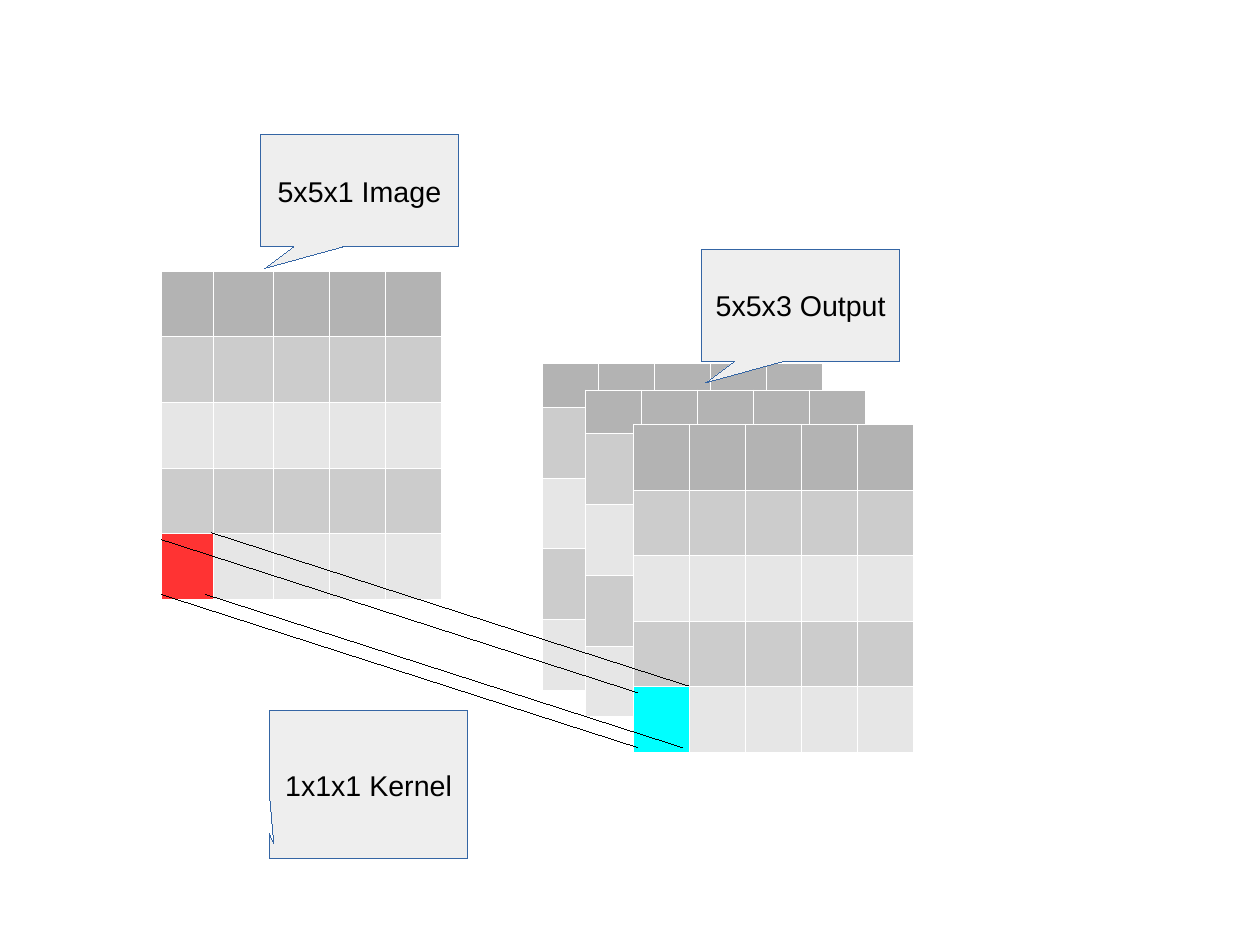
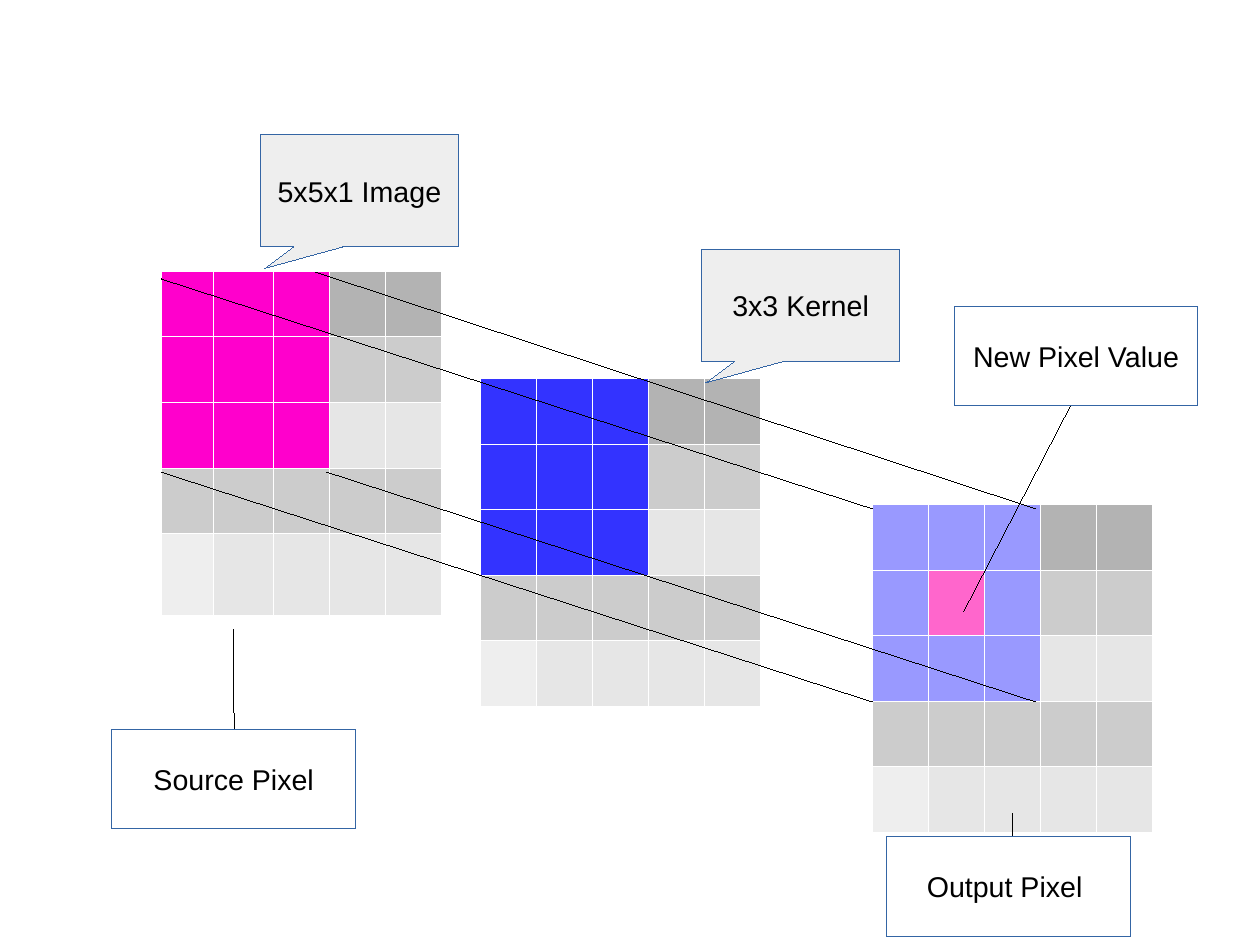
from lxml import etree
from pptx import Presentation
from pptx.dml.color import RGBColor
from pptx.enum.shapes import MSO_CONNECTOR as Connector, MSO_SHAPE as Shape
from pptx.enum.text import MSO_ANCHOR as Anchor, PP_ALIGN as Align
from pptx.oxml.ns import qn
from pptx.util import Inches, Pt

COLORS = {
    "dark": "B3B3B3", "mid": "CCCCCC", "light": "E6E6E6", "pale": "EEEEEE",
    "white": "FFFFFF", "black": "000000", "outline": "3465A4",
    "red": "FF3333", "cyan": "00FFFF", "magenta": "FF00CC",
    "blue": "3333FF", "lavender": "9999FF", "pink": "FF66CC",
}
FONT, TEXT_SIZE = "Arial", 18
HAIRLINE = Pt(0.01)
ROW_TONES = ["dark", "mid", "light", "mid", "light"]

# Slide of 28 by 21 centimetres
CM_PER_INCH = 2.54
SLIDE_WIDTH, SLIDE_HEIGHT = Inches(28 / CM_PER_INCH), Inches(21 / CM_PER_INCH)

# Grid geometry: five columns and five rows
COUNT = 5
ROW, COLUMN = 2.87 / COUNT, 2.45 / COUNT
EVEN_ROWS, EVEN_COLUMNS = [ROW] * COUNT, [COLUMN] * COUNT
STACKED_ROWS = [0.38] + [0.62] * 4
IMAGE_COLUMNS = [0.45, 0.53] + [COLUMN] * 3
TALL_END_ROWS = [ROW] * 4 + [0.72]


def block(color, size=3):
    """Colour the top left square of a grid, with a pale bottom left cell."""
    cells = {(r, c): color for r in range(size) for c in range(size)}
    return {**cells, (4, 0): "pale"}


# Content: grids (left, top, rows, columns, coloured cells), lines, callouts, labels
KERNEL_SHIFT = (4.17, 1.34)
KERNEL_CORNERS = [(1.41, 5.2), (1.85, 4.66), (1.41, 4.72), (1.8, 5.2)]
IMAGE_CALLOUT = ("5x5x1 Image", 2.28, 1.18, 0.98, 0.692)

SLIDES = [
    {
        "grids": [
            (4.74, 3.18, STACKED_ROWS, EVEN_COLUMNS, {}),
            (5.12, 3.41, STACKED_ROWS, EVEN_COLUMNS, {}),
            (1.41, 2.37, EVEN_ROWS, IMAGE_COLUMNS, {(4, 0): "red"}),
            (5.54, 3.71, EVEN_ROWS, EVEN_COLUMNS, {(4, 0): "cyan"}),
        ],
        "lines": [(x, y, x + KERNEL_SHIFT[0], y + KERNEL_SHIFT[1])
                  for x, y in KERNEL_CORNERS],
        "callouts": [
            IMAGE_CALLOUT,
            ("5x5x3 Output", 6.14, 2.18, 0.98, 0.692),
            ("1x1x1 Kernel", 2.36, 6.22, 1.29, 0.402),
        ],
        "labels": [],
    },
    {
        "grids": [
            (7.63, 4.41, EVEN_ROWS, EVEN_COLUMNS,
             {**block("lavender"), (1, 1): "pink"}),
            (1.41, 2.37, TALL_END_ROWS, IMAGE_COLUMNS, block("magenta")),
            (4.2, 3.31, EVEN_ROWS, EVEN_COLUMNS, block("blue")),
        ],
        "lines": [
            (1.41, 4.13, 7.63, 6.14), (2.76, 2.38, 9.06, 4.45),
            (1.41, 2.44, 7.63, 4.45), (2.86, 4.13, 9.06, 6.14),
            (8.43, 5.35, 9.37, 3.54), (2.04, 5.51, 2.05, 6.46),
            (8.86, 7.12, 8.86, 8.06),
        ],
        "callouts": [IMAGE_CALLOUT, ("3x3 Kernel", 6.14, 2.18, 0.98, 0.692)],
        "labels": [
            ("New Pixel Value", 8.35, 2.68),
            ("Source Pixel", 0.98, 6.38),
            ("Output Pixel ", 7.76, 7.32),
        ],
    },
]


def rgb(name):
    return RGBColor.from_string(COLORS[name])


def add_borders(cell):
    properties = cell._tc.get_or_add_tcPr()
    for side in ("lnL", "lnR", "lnT", "lnB"):
        line = etree.SubElement(properties, qn("a:" + side), w="762")
        fill = etree.SubElement(line, qn("a:solidFill"))
        etree.SubElement(fill, qn("a:srgbClr"), val=COLORS["white"])


def add_grid(page, left, top, rows, columns, colored):
    frame = page.shapes.add_table(
        len(rows), len(columns), Inches(left), Inches(top),
        Inches(sum(columns)), Inches(sum(rows)))
    table = frame.table
    table.first_row = table.horz_banding = False
    for column, width in zip(table.columns, columns):
        column.width = Inches(width)
    for r, height in enumerate(rows):
        table.rows[r].height = Inches(height)
        for c in range(len(columns)):
            cell = table.cell(r, c)
            cell.margin_top = cell.margin_bottom = 0
            add_borders(cell)
            cell.fill.solid()
            cell.fill.fore_color.rgb = rgb(colored.get((r, c), ROW_TONES[r]))


def add_line(page, x1, y1, x2, y2):
    line = page.shapes.add_connector(
        Connector.STRAIGHT, Inches(x1), Inches(y1), Inches(x2), Inches(y2))
    line.line.color.rgb = rgb("black")
    line.line.width = HAIRLINE
    etree.SubElement(line._element.spPr, qn("a:effectLst"))


def add_box(page, kind, text, left, top, width, height, fill):
    box = page.shapes.add_shape(
        kind, Inches(left), Inches(top), Inches(width), Inches(height))
    box.shadow.inherit = False
    box.fill.solid()
    box.fill.fore_color.rgb = rgb(fill)
    box.line.color.rgb = rgb("outline")
    box.line.width = HAIRLINE
    frame = box.text_frame
    frame.word_wrap = False
    frame.vertical_anchor = Anchor.MIDDLE
    para = frame.paragraphs[0]
    para.alignment = Align.CENTER
    span = para.add_run()
    span.text = text
    span.font.name, span.font.size = FONT, Pt(TEXT_SIZE)
    span.font.color.rgb = rgb("black")
    return box


def add_callout(page, text, left, top, height, tip):
    box = add_box(page, Shape.RECTANGULAR_CALLOUT, text, left, top, 1.73, height, "pale")
    box.adjustments[0] = -0.479
    box.adjustments[1] = tip


def add_label(page, text, left, top):
    add_box(page, Shape.RECTANGLE, text, left, top, 2.13, 0.87, "white")


# Build the deck, each kind of part in stacking order
deck = Presentation()
deck.slide_width, deck.slide_height = SLIDE_WIDTH, SLIDE_HEIGHT
BLANK_LAYOUT = deck.slide_layouts[6]
DRAWERS = {"grids": add_grid, "lines": add_line,
           "callouts": add_callout, "labels": add_label}

for content in SLIDES:
    page = deck.slides.add_slide(BLANK_LAYOUT)
    for kind, draw in DRAWERS.items():
        for part in content[kind]:
            draw(page, *part)

deck.save("out.pptx")
